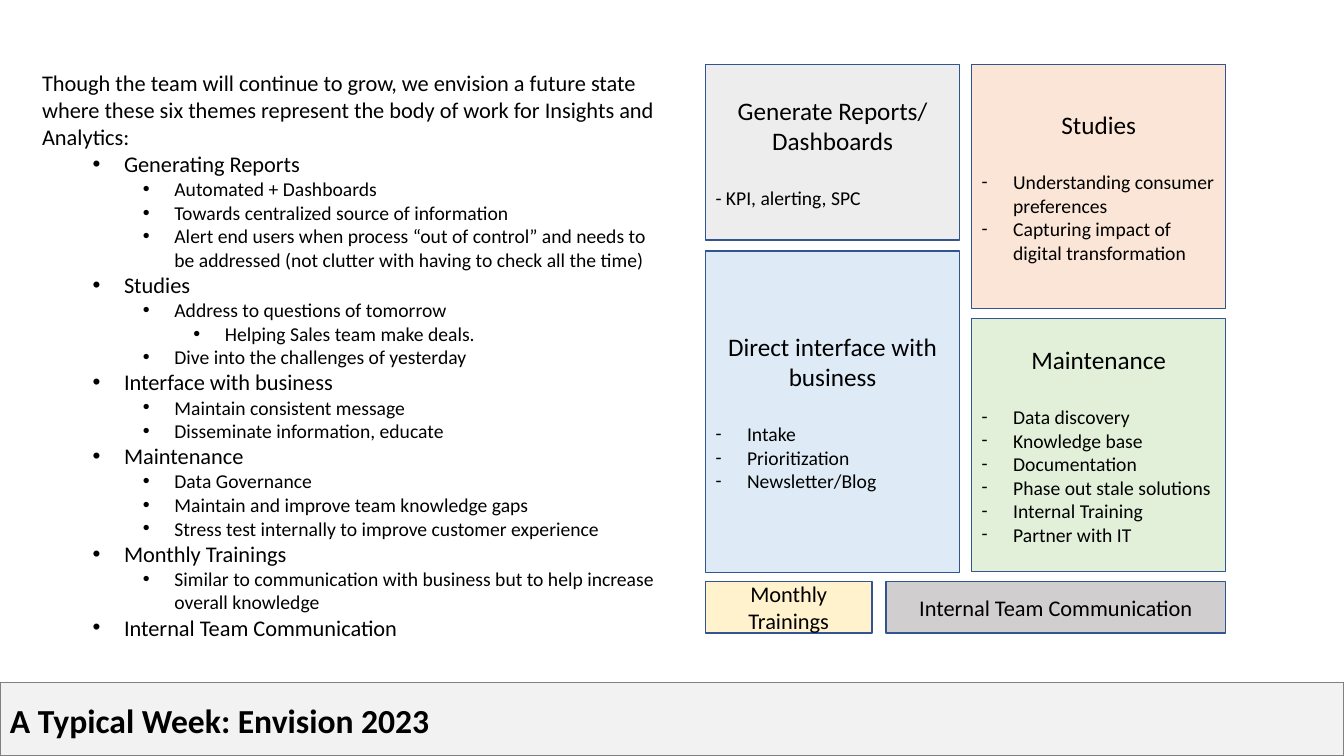
from lxml.etree import SubElement
from pptx import Presentation
from pptx.dml.color import RGBColor
from pptx.enum.shapes import MSO_SHAPE
from pptx.enum.text import MSO_ANCHOR, PP_ALIGN
from pptx.oxml.ns import qn
from pptx.util import Pt

# Content
TITLE = "A Typical Week: Envision 2023"
OUTLINE = [  # (level, text)
    (0, "Though the team will continue to grow, we envision a future state where these "
        "six themes represent the body of work for Insights and Analytics:"),
    (1, "Generating Reports"),
    (2, "Automated + Dashboards"),
    (2, "Towards centralized source of information"),
    (2, "Alert end users when process “out of control” and needs to be addressed "
        "(not clutter with having to check all the time)"),
    (1, "Studies"),
    (2, "Address to questions of tomorrow"),
    (3, "Helping Sales team make deals."),
    (2, "Dive into the challenges of yesterday"),
    (1, "Interface with business"),
    (2, "Maintain consistent message"),
    (2, "Disseminate information, educate"),
    (1, "Maintenance"),
    (2, "Data Governance"),
    (2, "Maintain and improve team knowledge gaps"),
    (2, "Stress test internally to improve customer experience"),
    (1, "Monthly Trainings"),
    (2, "Similar to communication with business but to help increase overall knowledge"),
    (1, "Internal Team Communication"),
]
COLUMNS = [  # (gap between boxes, [(heading, fill, height, bullet, items)])
    (7.9, [
        ("Generate Reports/ Dashboards", "pale_grey", 125.3, None, ["- KPI, alerting, SPC"]),
        ("Direct interface with business", "blue", 229.7, "-",
         ["Intake", "Prioritization", "Newsletter/Blog"]),
    ]),
    (7.2, [
        ("Studies", "orange", 174.2, "-",
         ["Understanding consumer preferences", "Capturing impact of digital transformation"]),
        ("Maintenance", "green", 180.7, "-",
         ["Data discovery", "Knowledge base", "Documentation",
          "Phase out stale solutions", "Internal Training", "Partner with IT"]),
    ]),
]
BOTTOM_ROW = [("Monthly Trainings", "yellow", 118.8),
              ("Internal Team Communication", "grey", 242.6)]
COLORS = {
    "text": "000000", "outline": "325491", "bar": "F2F2F2", "bar_line": "808080",
    "pale_grey": "EDEDED", "blue": "DEEBF7", "orange": "FBE5D6",
    "green": "E2F0D9", "yellow": "FFF2CC", "grey": "D0CECE",
}

# Layout, in points
PAGE_WIDTH, PAGE_HEIGHT = 960, 540
BAR_TOP = 487.4
GRID_LEFT, GRID_TOP = 504, 46.1
COLUMN_WIDTH, COLUMN_STEP = 181.4, 190.1
ROW_TOP, ROW_HEIGHT, ROW_GAP = 415.4, 36.7, 10.1
HANG, LEVEL_STEP = 22.5, 36
HEADING_SPACE = 22

deck = Presentation()
deck.slide_width, deck.slide_height = Pt(PAGE_WIDTH), Pt(PAGE_HEIGHT)
page = deck.slides.add_slide(deck.slide_layouts[6])


def color(name):
    return RGBColor.from_string(COLORS[name])


def add_box(left, top, width, height, fill, line="outline"):
    box = page.shapes.add_shape(MSO_SHAPE.RECTANGLE, Pt(left), Pt(top), Pt(width), Pt(height))
    box.shadow.inherit = False
    box.fill.solid()
    box.fill.fore_color.rgb = color(fill)
    box.line.color.rgb = color(line)
    box.line.width = Pt(1)
    box.text_frame.vertical_anchor = MSO_ANCHOR.MIDDLE
    return box.text_frame


def add_text(left, top, width, height):
    frame = page.shapes.add_textbox(Pt(left), Pt(top), Pt(width), Pt(height)).text_frame
    frame.word_wrap = True
    return frame


def write(para, text, size, align=PP_ALIGN.LEFT, bold=False):
    para.text = text
    para.alignment = align
    for span in para.runs:
        span.font.name = "Calibri"
        span.font.size = Pt(size)
        span.font.bold = bold
        span.font.color.rgb = color("text")


def add_bullet(para, mark, level=0):
    para.level = level
    props = para._p.get_or_add_pPr()
    props.set("marL", str(Pt(HANG + LEVEL_STEP * level)))
    props.set("indent", str(-Pt(HANG)))
    SubElement(props, qn("a:buFont")).set("typeface", "Arial" if mark == "•" else "Calibri")
    SubElement(props, qn("a:buChar")).set("char", mark)


# Title bar
add_box(0, BAR_TOP, PAGE_WIDTH, PAGE_HEIGHT - BAR_TOP, "bar", "bar_line")
write(add_text(0, 496.1, 447.1, 36).paragraphs[0], TITLE, 24, bold=True)

# Theme boxes, stacked in two columns
for column, (gap, themes) in enumerate(COLUMNS):
    top = GRID_TOP
    for heading, fill, height, mark, items in themes:
        frame = add_box(GRID_LEFT + column * COLUMN_STEP, top, COLUMN_WIDTH, height, fill)
        write(frame.paragraphs[0], heading, 18, PP_ALIGN.CENTER)
        frame.paragraphs[0].space_after = Pt(HEADING_SPACE)
        for item in items:
            para = frame.add_paragraph()
            write(para, item, 14)
            if mark:
                add_bullet(para, mark)
        top += height + gap

# Bottom row of themes
left = GRID_LEFT
for label, fill, width in BOTTOM_ROW:
    frame = add_box(left, ROW_TOP, width, ROW_HEIGHT, fill)
    write(frame.paragraphs[0], label, 16, PP_ALIGN.CENTER)
    left += width + ROW_GAP

# Outline on the left
frame = add_text(23, GRID_TOP, 457.2, 419)
for number, (level, text) in enumerate(OUTLINE):
    para = frame.add_paragraph() if number else frame.paragraphs[0]
    write(para, text, 16 if level < 2 else 14)
    if level:
        add_bullet(para, "•", level)

deck.save("out.pptx")
